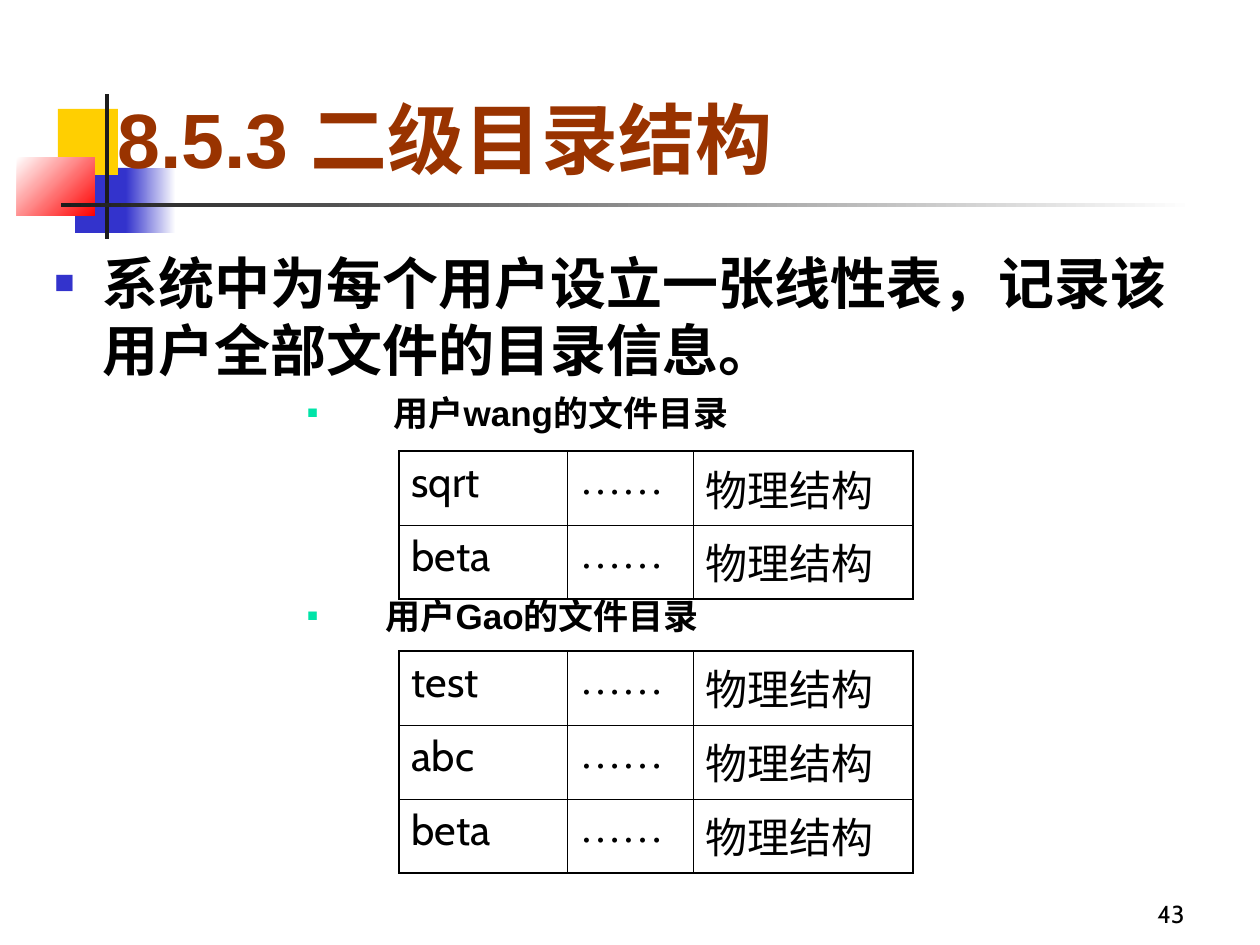
from dataclasses import dataclass

from pptx import Presentation, util as u
from pptx.dml.color import RGBColor
from pptx.enum import shapes, text
from pptx.oxml import ns, xmlchemy as xml

SCALE = 914400 / 126


def px(n):
    return u.Emu(round(n * SCALE))


@dataclass(frozen=True)
class Theme:
    ink: str = "000000"
    dark: str = "1C1C1C"
    blue: str = "3333CC"
    gold: str = "FFCF01"
    red: str = "FF0000"
    white: str = "FFFFFF"
    rust: str = "993300"
    mint: str = "00E4A8"
    head: str = "Arial"
    face: str = "Cabin"
    dots: str = "Times New Roman"
    big: int = 44
    lead: int = 32
    cell: int = 24
    sub: int = 20
    small: int = 14
    thick: float = 1.08
    thin: float = 0.45


def write(para, words, font, size, color=Theme.ink, bold=False, before=0, align=None):
    run = para.add_run()
    run.text = words
    run.font.name = font
    run.font.size = u.Pt(size)
    run.font.bold = bold
    run.font.color.rgb = RGBColor.from_string(color)
    para.space_before = u.Pt(before)
    para.alignment = align


def node(root, tag, **attrs):
    item = xml.OxmlElement(tag)
    for key, val in attrs.items():
        item.set(key, str(val))
    root.append(item)
    return item


def bullet(para, left, hang, color, size):
    props = para._p.get_or_add_pPr()
    props.set("marL", str(px(left)))
    props.set("indent", str(-px(hang)))
    node(node(props, "a:buClr"), "a:srgbClr", val=color)
    node(props, "a:buSzPct", val=size * 1000)
    node(props, "a:buFont", typeface=Theme.head)
    node(props, "a:buChar", char="■")


def edge(cell, side, width):
    line = node(cell._tc.get_or_add_tcPr(), f"a:ln{side}", w=u.Pt(width))
    node(node(line, "a:solidFill"), "a:srgbClr", val=Theme.ink)


class Deck:
    def __init__(self, theme):
        self.theme = theme
        self.show = Presentation()
        self.show.slide_width = px(1260)
        self.show.slide_height = px(945)
        self.slide = self.show.slides.add_slide(self.show.slide_layouts[5])

    def block(self, box, *colors, angle=0):
        item = self.slide.shapes.add_shape(shapes.MSO_SHAPE.RECTANGLE, *map(px, box))
        item.shadow.inherit = False
        item.line.fill.background()
        if len(colors) == 1:
            item.fill.solid()
            item.fill.fore_color.rgb = RGBColor.from_string(colors[0])
            return
        item.fill.gradient()
        item.fill.gradient_angle = angle
        for i, (stop, color) in enumerate(zip(item.fill.gradient_stops, colors)):
            stop.position = i
            stop.color.rgb = RGBColor.from_string(color)

    def title(self, box, words):
        item = self.slide.shapes.title
        item.left, item.top, item.width, item.height = map(px, box)
        frame = item.text_frame
        frame.auto_size = text.MSO_AUTO_SIZE.NONE
        frame.vertical_anchor = text.MSO_ANCHOR.BOTTOM
        write(frame.paragraphs[0], words, self.theme.head, self.theme.big,
              color=self.theme.rust, bold=True, align=text.PP_ALIGN.LEFT)
        self.slide.shapes._spTree.append(item._element)

    def frame(self, box, anchor=text.MSO_ANCHOR.TOP):
        frame = self.slide.shapes.add_textbox(*map(px, box)).text_frame
        frame.word_wrap = True
        frame.vertical_anchor = anchor
        return frame

    def body(self, box, items):
        frame = self.frame(box)
        for i, (words, size, before, *mark) in enumerate(items):
            para = frame.add_paragraph() if i else frame.paragraphs[0]
            write(para, words, self.theme.head, size, bold=True, before=before)
            bullet(para, *mark)

    def number(self, box, words):
        frame = self.frame(box, text.MSO_ANCHOR.BOTTOM)
        write(frame.paragraphs[0], words, self.theme.face, self.theme.small,
              align=text.PP_ALIGN.RIGHT)

    def table(self, left, top, cols, high, names):
        look = self.theme
        count = len(names)
        grid = self.slide.shapes.add_table(
            count, len(cols), px(left), px(top), px(sum(cols)), px(high * count)).table
        grid.first_row = grid.horz_banding = False
        for col, wide in zip(grid.columns, cols):
            col.width = px(wide)
        for r, name in enumerate(names):
            grid.rows[r].height = px(high)
            row = [(name, look.face), ("……", look.dots), ("物理结构", look.face)]
            for c, (words, font) in enumerate(row):
                cell = grid.cell(r, c)
                write(cell.text_frame.paragraphs[0], words, font, look.cell, before=6)
                outer = {"L": c == 0, "R": c == len(cols) - 1,
                         "T": r == 0, "B": r == count - 1}
                for side, rim in outer.items():
                    edge(cell, side, look.thick if rim else look.thin)
                cell.fill.background()


def main():
    look = Theme()
    deck = Deck(look)
    deck.block((75, 168, 58, 65), look.blue)
    deck.block((58, 109, 60, 66), look.gold)
    deck.block((126, 168, 50, 65), look.blue, look.white)
    deck.block((17, 157, 78, 59), look.white, look.red, angle=315)
    deck.block((105, 94, 4, 145), look.dark)
    deck.block((61, 203, 1134, 4), look.dark, look.white)
    deck.number((935, 872, 262, 63), "43")
    deck.title((105, 32, 1113, 158), "8.5.3 二级目录结构")
    deck.body((42, 242, 1192, 640), [
        ("系统中为每个用户设立一张线性表，记录该用户全部文件的目录信息。",
         look.lead, 8, 48, 48, look.blue, 60),
        ("用户wang的文件目录", look.sub, 5, 339, 86, look.mint, 50),
        ("用户Gao的文件目录", look.sub, 92, 331, 78, look.mint, 50),
    ])
    cols = (168, 126, 220)
    deck.table(399, 451, cols, 74, ["sqrt", "beta"])
    deck.table(399, 651, cols, 74, ["test", "abc", "beta"])
    deck.show.save("out.pptx")


if __name__ == "__main__":
    main()
